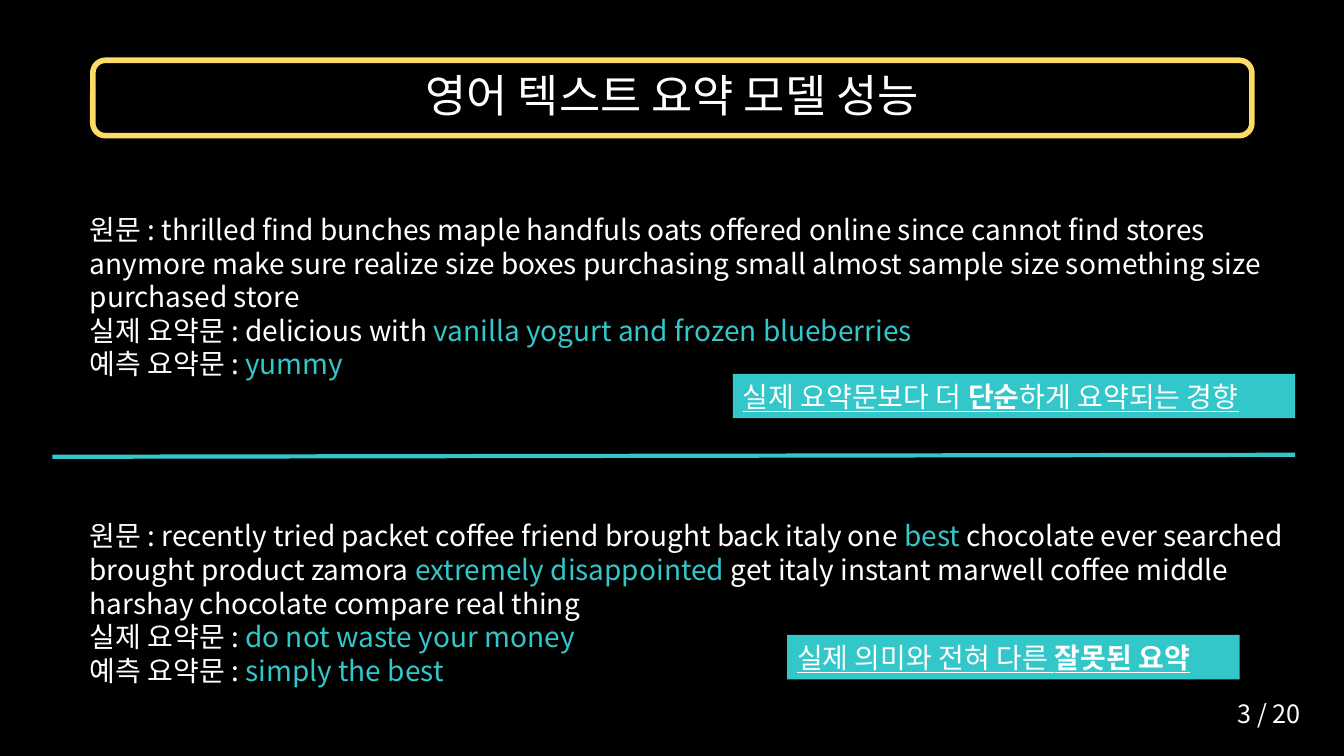
from dataclasses import dataclass

from lxml.etree import SubElement
from pptx import Presentation
from pptx.dml.color import RGBColor
from pptx.enum.shapes import MSO_CONNECTOR as Connector, MSO_SHAPE as Shape
from pptx.enum.text import MSO_ANCHOR as Anchor, PP_ALIGN as Align
from pptx.oxml.ns import qn
from pptx.util import Cm, Pt


@dataclass(frozen=True)
class Theme:
    font: str = "Noto Sans CJK KR"
    background: str = "000000"
    text: str = "FFFFFF"
    accent: str = "33C7CA"
    frame: str = "FCDB67"
    title_size: int = 32
    body_size: int = 20
    page_size: int = 18


theme = Theme()

# Content: a run is (text, style); styles are plain, accent, under and strong
TITLE = "영어 텍스트 요약 모델 성능"
PAGE = "3 / 20"
EXAMPLES = [
    {
        "top": 5.23,
        "paragraphs": [
            [("원문 : thrilled find bunches maple handfuls oats offered online since "
              "cannot find stores anymore make sure realize size boxes purchasing small "
              "almost sample size something size purchased store", "plain")],
            [("실제 요약문 : delicious with ", "plain"),
             ("vanilla yogurt and frozen blueberries", "accent")],
            [("예측 요약문 : ", "plain"), ("yummy", "accent")],
        ],
        "verdict": [("실제 요약문보다 더 ", "under"), ("단순", "strong"),
                    ("하게 요약되는 경향", "under")],
        "verdict_box": (18.47, 9.42, 14.17, 1.12),
    },
    {
        "top": 12.95,
        "paragraphs": [
            [("원문 : recently tried packet coffee friend brought back italy one ", "plain"),
             ("best", "accent"),
             (" chocolate ever searched brought product zamora ", "plain"),
             ("extremely disappointed ", "accent"),
             ("get italy instant marwell coffee middle harshay chocolate compare "
              "real thing", "plain")],
            [("실제 요약문 : ", "plain"), ("do not waste your money", "accent")],
            [("예측 요약문 : ", "plain"), ("simply the best", "accent")],
        ],
        "verdict": [("실제 의미와 전혀 다른 ", "under"), ("잘못된 요약", "strong")],
        "verdict_box": (19.84, 16, 11.4, 1.12),
    },
]

# Layout in centimetres: left, top, width, height
TITLE_BOX = (2.34, 1.52, 29.21, 1.9)
PAGE_BOX = (30.94, 17.48, 2.31, 1.02)
BODY_LEFT, BODY_WIDTH, BODY_HEIGHT = 2.01, 30.61, 4.52
DIVIDER = (1.32, 11.51, 32.64, 11.46)


def lengths(values):
    return [Cm(value) for value in values]


def color(code):
    return RGBColor.from_string(code)


def add_run(paragraph, text, style, size):
    run = paragraph.add_run()
    run.text = text
    font = run.font
    font.name = theme.font
    font.size = Pt(size)
    font.bold = style == "strong"
    font.underline = style in ("under", "strong")
    font.color.rgb = color(theme.accent if style == "accent" else theme.text)
    # Hangul takes its font from the East Asian slot
    SubElement(run._r.get_or_add_rPr(), qn("a:ea"), typeface=theme.font)


def write(shape, paragraphs, size, align=Align.LEFT, anchor=Anchor.TOP, wrap=True):
    frame = shape.text_frame
    frame.word_wrap = wrap
    frame.vertical_anchor = anchor
    for index, runs in enumerate(paragraphs):
        paragraph = frame.add_paragraph() if index else frame.paragraphs[0]
        paragraph.alignment = align
        for text, style in runs:
            add_run(paragraph, text, style, size)


def add_title(slide):
    border = slide.shapes.add_shape(Shape.ROUNDED_RECTANGLE, *lengths(TITLE_BOX))
    border.shadow.inherit = False
    border.fill.background()
    border.line.color.rgb = color(theme.frame)
    border.line.width = Pt(4)

    title = slide.shapes.title
    title.left, title.top, title.width, title.height = lengths(TITLE_BOX)
    write(title, [[(TITLE, "plain")]], theme.title_size, Align.CENTER, Anchor.MIDDLE)
    title.text_frame.paragraphs[0].line_spacing = 0.9


def add_example(slide, example):
    box = (BODY_LEFT, example["top"], BODY_WIDTH, BODY_HEIGHT)
    body = slide.shapes.add_textbox(*lengths(box))
    write(body, example["paragraphs"], theme.body_size)

    verdict = slide.shapes.add_shape(Shape.RECTANGLE, *lengths(example["verdict_box"]))
    verdict.shadow.inherit = False
    verdict.fill.solid()
    verdict.fill.fore_color.rgb = color(theme.accent)
    verdict.line.fill.background()
    write(verdict, [example["verdict"]], theme.body_size, anchor=Anchor.MIDDLE)


def add_divider(slide):
    divider = slide.shapes.add_connector(Connector.STRAIGHT, *lengths(DIVIDER))
    divider.line.color.rgb = color(theme.accent)
    divider.line.width = Pt(3)
    SubElement(divider._element.spPr, qn("a:effectLst"))


def main():
    presentation = Presentation()
    presentation.slide_width, presentation.slide_height = Cm(33.87), Cm(19.05)
    title_only = presentation.slide_layouts[5]
    slide = presentation.slides.add_slide(title_only)
    slide.background.fill.solid()
    slide.background.fill.fore_color.rgb = color(theme.background)

    # Title and page number
    add_title(slide)
    page = slide.shapes.add_textbox(*lengths(PAGE_BOX))
    write(page, [[(PAGE, "plain")]], theme.page_size, wrap=False)

    # Two examples with a line between them
    for example in EXAMPLES:
        add_example(slide, example)
    add_divider(slide)

    presentation.save("out.pptx")


if __name__ == "__main__":
    main()
